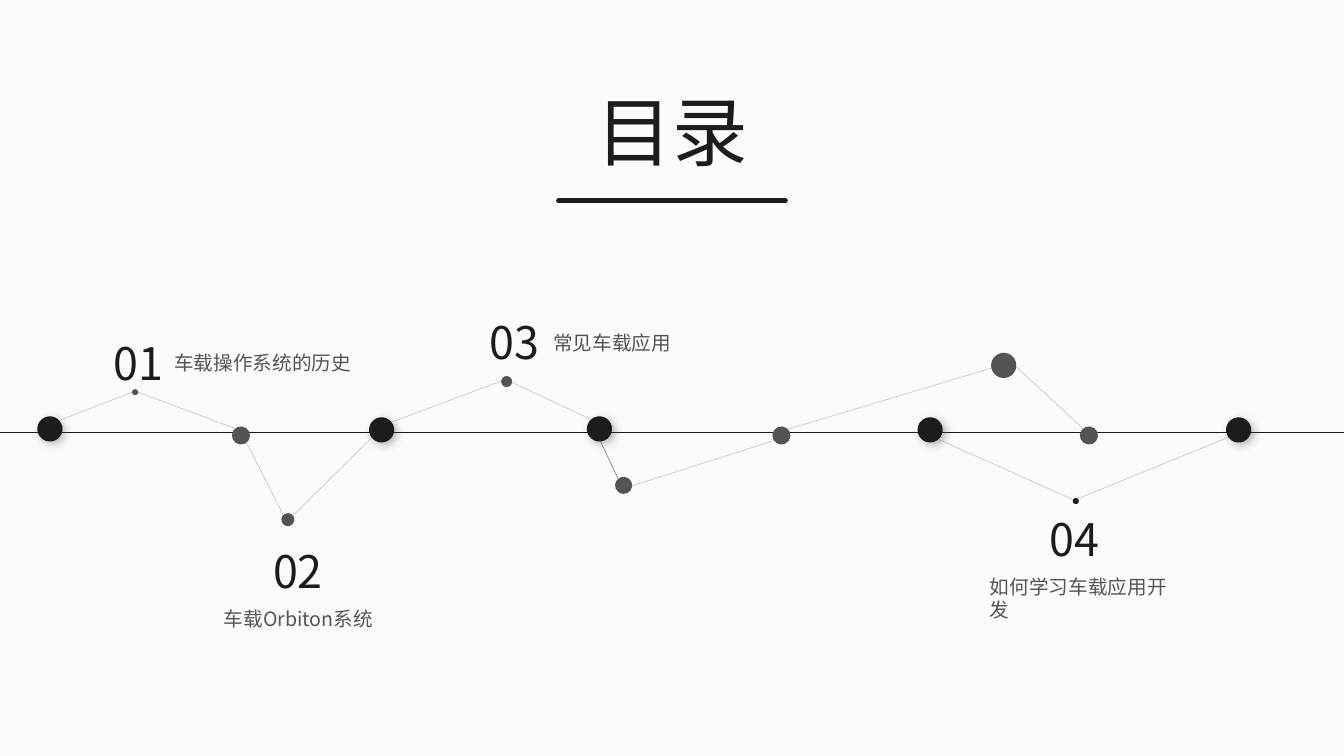
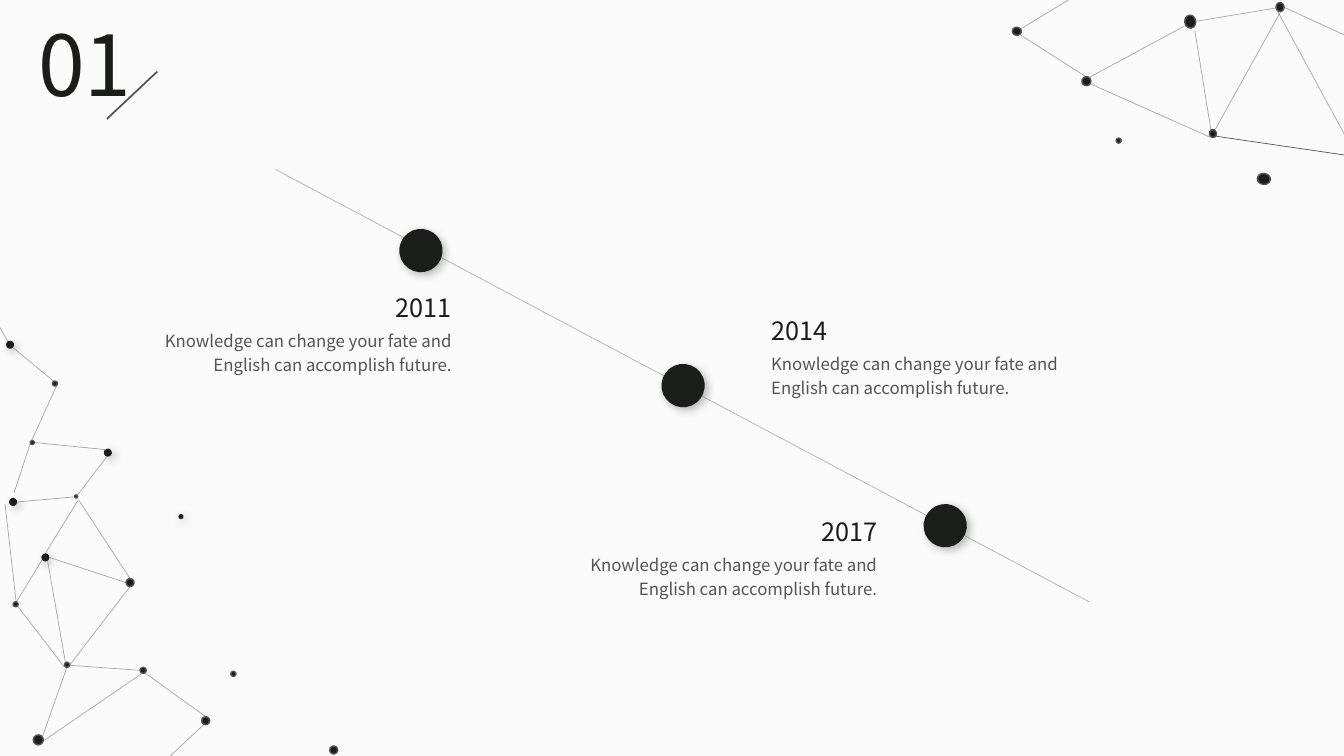
from lxml import etree
from pptx import Presentation
from pptx.dml.color import RGBColor
from pptx.enum.shapes import MSO_CONNECTOR as Connector, MSO_SHAPE as Preset
from pptx.enum.text import MSO_ANCHOR as Anchor, MSO_AUTO_SIZE as AutoSize, PP_ALIGN as Align
from pptx.oxml.ns import qn
from pptx.util import Cm, Pt

# Shared style
COLORS = {"paper": "FBFBFB", "ink": "1A1D1A", "gray": "545454", "shadow": "505950"}
FONT = "Noto Sans CJK SC"
WIDTH, HEIGHT = 13.33, 7.5
TILT, STEEP = 186.2, 82

# Agenda: number with its place, then label with its place and width (inches)
AGENDA = [
    ("01", 0.41, 3.28, "车载操作系统的历史", 1.63, 3.43, 2.25),
    ("02", 1.99, 5.34, "车载Orbiton系统", 2.12, 5.97, 1.68),
    ("03", 4.14, 3.07, "常见车载应用", 5.39, 3.23, 1.4),
    ("04", 9.69, 5.03, "如何学习车载应用开发", 9.72, 5.65, 2.13),
]
AGENDA_LINKS = [
    (0.59, 4.17, 1.34, 3.88), (1.34, 3.88, 2.33, 4.25), (2.44, 4.38, 2.81, 5.11),
    (2.9, 5.12, 3.69, 4.34), (3.88, 4.19, 4.97, 3.78), (5.86, 4.16, 5.07, 3.79),
    (7.68, 4.37, 6.27, 4.82), (9.84, 3.65, 7.81, 4.26), (10.74, 4.25, 10.08, 3.64),
    (10.65, 4.96, 9.31, 4.36), (12.18, 4.34, 10.66, 4.96),
]
AXIS_DOTS = [(0.37, 4.13), (3.66, 4.14), (5.82, 4.13), (9.1, 4.14), (12.16, 4.14)]
GRAY_DOTS = [
    (2.3, 4.23, 0.18), (7.66, 4.23, 0.18), (10.71, 4.23, 0.18), (2.79, 5.09, 0.13),
    (4.97, 3.73, 0.11), (6.1, 4.73, 0.17), (9.83, 3.5, 0.25), (1.31, 3.86, 0.06),
]

# Milestones: year, dot top, text left, text top, alignment
SAYING = "Knowledge can change your fate and English can accomplish future."
MILESTONES = [
    ("2011", 2.27, 1.07, 2.85, Align.RIGHT),
    ("2014", 3.61, 7.55, 3.08, Align.LEFT),
    ("2017", 5, 5.29, 5.07, Align.RIGHT),
]
FIRST_DOT, DOT_STEP, DOT_SIZE = 3.96, 2.6, 0.43
YEAR_WIDTH, SAYING_WIDTH, SAYING_DROP = 1.4, 3.51, 0.34

# Networks in the corners: links, then dots as left, top, width, height
NETWORK_LINKS = [
    # Top right
    (11.87, 0.21, 12.65, 0.08), (13.69, 0.51, 12.73, 0.07), (13.48, 1.6, 12.67, 0.11),
    (12.7, 0.12, 12.05, 1.29), (12.01, 1.29, 11.85, 0.3), (10.8, 0.77, 11.82, 0.22),
    (10.81, 0.83, 12, 1.36), (10.11, 0.34, 10.77, 0.76), (10.12, 0.29, 10.86, -0.16),
    # Bottom left
    (0.34, 4.39, 1.04, 4.46), (0.13, 3.45, 0.53, 3.78), (0.56, 3.83, 0.31, 4.38),
    (0.3, 4.4, 0.14, 4.89), (0.17, 4.98, 0.73, 4.93), (0.45, 5.49, 0.77, 4.97),
    (0.05, 5, 0.16, 5.97), (0.42, 5.55, 0.14, 6.01), (0.47, 5.55, 0.65, 6.58),
    (1.29, 5.74, 0.78, 4.96), (0.64, 6.62, 0.18, 6.02), (0.42, 7.31, 0.66, 6.63),
    (0.49, 5.53, 1.25, 5.78), (0.77, 4.91, 1.06, 4.53), (1.29, 5.82, 0.69, 6.6),
    (0.69, 6.6, 1.39, 6.65), (1.43, 6.67, 2.04, 7.11), (1.41, 6.68, 0.43, 7.35),
    (-0.31, 2.72, 0.08, 3.39), (2.03, 7.18, 1.39, 7.78),
]
STEEP_DOTS = [
    (12.65, 0.03, 0.09, 0.08), (11.99, 1.29, 0.08, 0.07),
    (10.73, 0.76, 0.09, 0.09), (11.74, 0.16, 0.13, 0.11),
]
OUTLINED_DOTS = [
    (12.47, 1.72, 0.13, 0.11), (10.04, 0.27, 0.09, 0.08), (11.07, 1.37, 0.05, 0.05),
    (0.33, 7.29, 0.1, 0.1), (0.52, 3.78, 0.05, 0.05), (0.64, 6.57, 0.05, 0.05),
    (1.25, 5.74, 0.08, 0.08), (0.3, 4.37, 0.04, 0.04), (0.74, 4.91, 0.03, 0.03),
    (0.13, 5.97, 0.05, 0.05), (1.39, 6.62, 0.06, 0.06), (2, 7.11, 0.08, 0.08),
    (3.27, 7.4, 0.08, 0.08), (2.29, 6.66, 0.05, 0.05),
]
SHADOW_DOTS = [
    (0.06, 3.38, 0.08), (0.09, 4.94, 0.08), (0.41, 5.49, 0.08),
    (1.77, 5.1, 0.05), (1.03, 4.45, 0.08),
]


def inches(value):
    return Cm(value * 2.54)


def color(name):
    return RGBColor.from_string(COLORS[name])


def add_alpha(color_node, percent):
    etree.SubElement(color_node, qn("a:alpha"), val=str(percent * 1000))


def add_line(page, ends, name="gray", width=0.5, opacity=100, cap="flat"):
    line = page.shapes.add_connector(Connector.STRAIGHT, *map(inches, ends))
    line.line.width = Pt(width)
    line.line.color.rgb = color(name)
    outline = line._element.spPr.find(qn("a:ln"))
    outline.set("cap", cap)
    if opacity < 100:
        add_alpha(outline.find(".//" + qn("a:srgbClr")), opacity)
    etree.SubElement(line._element.spPr, qn("a:effectLst"))


def add_dot(page, left, top, width, height=None, name="ink", turn=TILT, outlined=False, shadow=False):
    frame = map(inches, (left, top, width, height or width))
    dot = page.shapes.add_shape(Preset.OVAL, *frame)
    dot.rotation = turn
    dot.fill.solid()
    dot.fill.fore_color.rgb = color(name)
    if outlined:
        dot.line.color.rgb = color("gray")
        dot.line.width = Pt(1)
    else:
        dot.line.fill.background()
    dot.shadow.inherit = False
    if shadow:
        effects = dot._element.spPr.find(qn("a:effectLst"))
        outer = etree.SubElement(
            effects, qn("a:outerShdw"), blurRad=str(Pt(6)), dist=str(Pt(3)),
            dir=str(45 * 60000), algn="tl", rotWithShape="0")
        add_alpha(etree.SubElement(outer, qn("a:srgbClr"), val=COLORS["shadow"]), 40)


def write(box, text, frame, size, name="ink", align=Align.LEFT, spacing=None):
    box.left, box.top, box.width, box.height = map(inches, frame)
    body = box.text_frame
    body.word_wrap = True
    body.auto_size = AutoSize.SHAPE_TO_FIT_TEXT
    body.vertical_anchor = Anchor.TOP
    para = body.paragraphs[0]
    para.alignment = align
    if spacing:
        para.line_spacing = spacing
    span = para.add_run()
    span.text = text
    span.font.name = FONT
    span.font.size = Pt(size)
    span.font.color.rgb = color(name)
    etree.SubElement(span.font._element, qn("a:ea"), typeface=FONT)


def add_text(page, text, frame, size, **style):
    write(page.shapes.add_textbox(0, 0, 0, 0), text, frame, size, **style)


def add_page(deck, title, frame, size, **style):
    page = deck.slides.add_slide(deck.slide_layouts[5])
    write(page.shapes.title, title, frame, size, **style)
    return page


def build_agenda(deck):
    page = add_page(deck, "目录", (5.77, 0.79, 1.8, 1.01), 54, align=Align.CENTER)
    add_line(page, (5.54, 1.99, 7.79, 1.99), "ink", 3.5, cap="rnd")
    add_line(page, (0, 4.29, WIDTH, 4.29), "ink", 0.75)
    for ends in AGENDA_LINKS:
        add_line(page, ends, "ink", opacity=21)
    add_line(page, (5.91, 4.28, 6.13, 4.75), "ink", opacity=51)
    for left, top in AXIS_DOTS:
        add_dot(page, left, top, 0.25, shadow=True)
    for dot in GRAY_DOTS:
        add_dot(page, *dot, name="gray")
    add_dot(page, 10.64, 4.94, 0.06)
    for number, left, top, label, label_left, label_top, label_width in AGENDA:
        add_text(page, number, (left, top, 1.93, 0.64), 32, align=Align.CENTER)
        add_text(page, label, (label_left, label_top, label_width, 0.34), 14, name="gray")


def build_milestones(deck):
    page = add_page(deck, "01", (0.28, 0.07, 1.14, 1.11), 60, align=Align.JUSTIFY)
    add_line(page, (1.56, 0.71, 1.06, 1.18), width=1.25)

    # Corner networks
    for ends in NETWORK_LINKS:
        add_line(page, ends, opacity=50)
    add_line(page, (13.42, 1.55, 12.05, 1.35))
    for dot in STEEP_DOTS:
        add_dot(page, *dot, turn=STEEP, outlined=True)
    for dot in OUTLINED_DOTS:
        add_dot(page, *dot, outlined=True)
    for dot in SHADOW_DOTS:
        add_dot(page, *dot, shadow=True)

    # Sloping timeline
    add_line(page, (2.73, 1.68, 10.8, 5.97), opacity=43)
    for index, (year, dot_top, left, top, align) in enumerate(MILESTONES):
        add_dot(page, FIRST_DOT + index * DOT_STEP, dot_top, DOT_SIZE, shadow=True)
        year_left = left + SAYING_WIDTH - YEAR_WIDTH if align == Align.RIGHT else left
        add_text(page, year, (year_left, top, YEAR_WIDTH, 0.4), 18, align=align)
        add_text(page, SAYING, (left, top + SAYING_DROP, SAYING_WIDTH, 0.56), 12,
                 name="gray", align=align, spacing=1.2)


def main():
    deck = Presentation()
    deck.slide_width, deck.slide_height = inches(WIDTH), inches(HEIGHT)
    backdrop = deck.slide_master.background.fill
    backdrop.solid()
    backdrop.fore_color.rgb = color("paper")
    build_agenda(deck)
    build_milestones(deck)
    deck.save("out.pptx")


if __name__ == "__main__":
    main()
